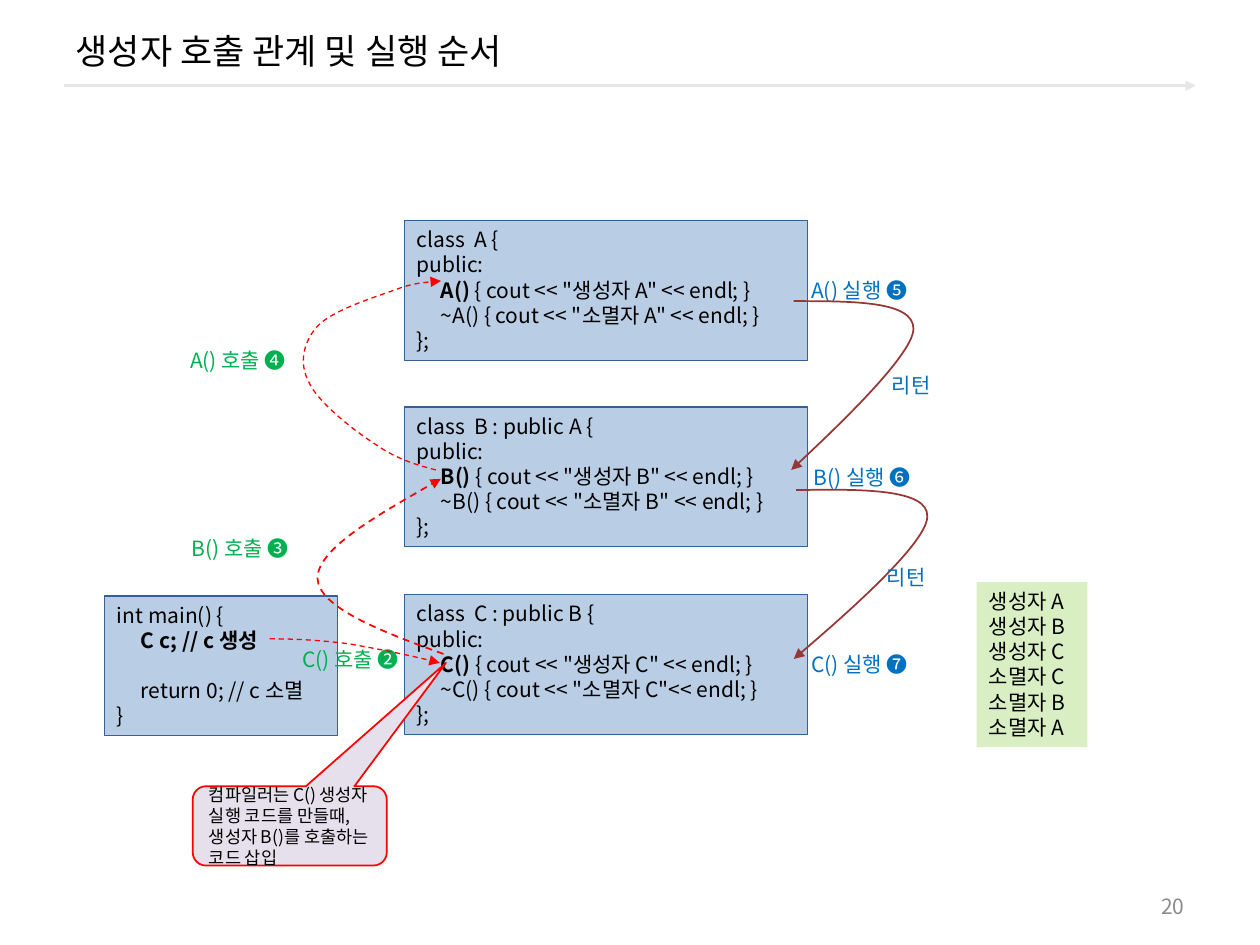
from pptx import Presentation
from pptx.dml.color import RGBColor
from pptx.enum.dml import MSO_LINE
from pptx.enum.shapes import MSO_CONNECTOR, MSO_SHAPE
from pptx.enum.text import MSO_ANCHOR, MSO_AUTO_SIZE, PP_ALIGN
from pptx.oxml.ns import qn
from pptx.util import Inches, Pt
from lxml import etree

RECT, CALLOUT = MSO_SHAPE.RECTANGLE, MSO_SHAPE.ROUNDED_RECTANGULAR_CALLOUT
STRAIGHT, DASH = MSO_CONNECTOR.STRAIGHT, MSO_LINE.DASH
LEFT, RIGHT = PP_ALIGN.LEFT, PP_ALIGN.RIGHT
TOP, MIDDLE = MSO_ANCHOR.TOP, MSO_ANCHOR.MIDDLE
GROW, FIXED = MSO_AUTO_SIZE.SHAPE_TO_FIT_TEXT, MSO_AUTO_SIZE.NONE

FONT = "Noto Sans CJK KR"
LINE_HEIGHT = 1.2
CODE_INDENT = Inches(0.19)

BLACK = RGBColor(0x00, 0x00, 0x00)
GRAY = RGBColor(0x8C, 0x8C, 0x8C)
RULE_GRAY = RGBColor(0xE6, 0xE6, 0xE6)
CODE_FILL = RGBColor(0xB9, 0xCD, 0xE5)
CODE_LINE = RGBColor(0x37, 0x60, 0x92)
OUTPUT_FILL = RGBColor(0xDA, 0xEE, 0xC4)
NOTE_FILL = RGBColor(0xE6, 0xE0, 0xEC)
RED = RGBColor(0xFF, 0x00, 0x00)
BROWN = RGBColor(0x95, 0x37, 0x35)
BLUE = RGBColor(0x00, 0x70, 0xC0)
GREEN = RGBColor(0x00, 0xB0, 0x50)


def add_run(p, text, size, color, bold):
    r = p.add_run()
    r.text = text
    r.font.size = Pt(size)
    r.font.bold = bold
    r.font.color.rgb = color
    r.font.name = FONT
    etree.SubElement(r.font._element, qn("a:ea"), typeface=FONT)


def add_code_tab(p):
    tabs = etree.SubElement(p._p.get_or_add_pPr(), qn("a:tabLst"))
    etree.SubElement(tabs, qn("a:tab"), pos=str(CODE_INDENT), algn="l")


def write_text(s, lines, size=12, color=BLACK, align=LEFT, anchor=TOP,
               wrap=True, auto_size=GROW):
    """Fill s with lines; a line is a string or a list of (text, bold) pairs."""
    tf = s.text_frame
    tf.word_wrap = wrap
    tf.auto_size = auto_size
    tf.vertical_anchor = anchor
    for i, line in enumerate(lines):
        p = tf.add_paragraph() if i else tf.paragraphs[0]
        p.alignment = align
        p.line_spacing = Pt(size * LINE_HEIGHT)
        runs = [(line, False)] if isinstance(line, str) else line
        if any("\t" in text for text, _ in runs):
            add_code_tab(p)
        for text, bold in runs:
            if text:
                add_run(p, text, size, color, bold)
            else:
                etree.SubElement(p._p, qn("a:endParaRPr"), sz=str(size * 100))


def add_box(slide, kind, x, y, w, h, fill, line=None, width=0.75):
    s = slide.shapes.add_shape(kind, Inches(x), Inches(y), Inches(w), Inches(h))
    s.shadow.inherit = False
    s.fill.solid()
    s.fill.fore_color.rgb = fill
    if line is None:
        s.line.fill.background()
    else:
        s.line.color.rgb = line
        s.line.width = Pt(width)
    return s


def add_code(slide, x, y, w, lines):
    s = add_box(slide, RECT, x, y, w, 1.11, CODE_FILL, CODE_LINE)
    write_text(s, lines)


def add_class(slide, y, name, header, destructor_end):
    add_code(slide, 3.21, y, 3.2, [
        header,
        "public:",
        [("\t", False), (f"{name}() ", True),
         (f'{{ cout << "생성자 {name}" << endl; }}', False)],
        f'\t~{name}() {{ cout << "소멸자 {name}"{destructor_end}',
        "};",
    ])


def add_label(slide, x, y, w, text, color, wrap=False):
    s = slide.shapes.add_textbox(Inches(x), Inches(y), Inches(w), Inches(0.3))
    write_text(s, [text], color=color, wrap=wrap)


def style_arrow(line, color, width, dash=None):
    line.color.rgb = color
    line.width = Pt(width)
    if dash is not None:
        line.dash_style = dash
    etree.SubElement(line._get_or_add_ln(), qn("a:tailEnd"), type="triangle")


def add_curve(slide, points, color, width, dash=None):
    """Draw a Bezier arrow: a start point, then two controls and an end per piece."""
    pts = [(Inches(x), Inches(y)) for x, y in points]
    builder = slide.shapes.build_freeform(*pts[0])
    builder.add_line_segments(pts[1:], close=False)
    s = builder.convert_to_shape()
    s.shadow.inherit = False
    s.fill.background()
    steps = list(s._element.iter(qn("a:lnTo")))
    for i in range(0, len(steps), 3):
        bezier = etree.Element(qn("a:cubicBezTo"))
        steps[i].addprevious(bezier)
        for step in steps[i:i + 3]:
            bezier.append(step[0])
            step.getparent().remove(step)
    style_arrow(s.line, color, width, dash)


def add_header(slide):
    rule = slide.shapes.add_connector(
        STRAIGHT, Inches(0.51), Inches(0.68), Inches(9.49), Inches(0.68))
    style_arrow(rule.line, RULE_GRAY, 1.5)
    etree.SubElement(rule._element.spPr, qn("a:effectLst"))
    title = slide.shapes.title
    title.left, title.top = Inches(0.5), Inches(0.08)
    title.width, title.height = Inches(9), Inches(0.64)
    write_text(title, ["생성자 호출 관계 및 실행 순서"], 20, anchor=MIDDLE,
               auto_size=FIXED)


def add_page_number(slide):
    s = slide.shapes.add_textbox(
        Inches(7.17), Inches(7.03), Inches(2.33), Inches(0.32))
    write_text(s, ["20"], color=GRAY, align=RIGHT, anchor=MIDDLE, auto_size=FIXED)


def add_compiler_note(slide):
    s = add_box(slide, CALLOUT, 1.53, 6.24, 1.54, 0.63, NOTE_FILL, RED, 1)
    for i, value in enumerate((0.805, -2.054, 0.167)):
        s.adjustments[i] = value
    write_text(s, ["컴파일러는 C() 생성자 실행 코드를 만들때, 생성자 B()를 호출하는 코드 삽입"],
               10, anchor=MIDDLE, auto_size=FIXED)


def add_output(slide):
    s = add_box(slide, RECT, 7.75, 4.62, 0.88, 1.31, OUTPUT_FILL)
    write_text(s, [f"생성자 {c}" for c in "ABC"] + [f"소멸자 {c}" for c in "CBA"],
               wrap=False)


def main():
    prs = Presentation()
    prs.slide_width, prs.slide_height = Inches(10), Inches(7.5)
    slide = prs.slides.add_slide(prs.slide_layouts[5])
    add_header(slide)
    add_page_number(slide)

    add_class(slide, 1.75, "A", "class  A {", " << endl; }")
    add_class(slide, 3.23, "B", "class  B : public A {", " << endl; }")
    add_class(slide, 4.72, "C", "class  C : public B {", "<< endl; }")
    add_code(slide, 0.83, 4.73, 1.85, [
        "int main() {",
        [("\t", False), ("C c; // c 생성", True)],
        "",
        "\treturn 0; // c 소멸",
        "}",
    ])

    add_curve(slide, [(3.46, 3.73), (3.3, 3.69), (3.14, 3.64), (2.97, 3.52),
                      (2.8, 3.41), (2.52, 3.19), (2.45, 3.03),
                      (2.37, 2.88), (2.41, 2.71), (2.52, 2.59),
                      (2.63, 2.47), (2.94, 2.37), (3.11, 2.31),
                      (3.27, 2.25), (3.38, 2.24), (3.5, 2.23)], RED, 0.75, DASH)
    add_label(slide, 6.34, 2.15, 1.02, "A() 실행 ❺", BLUE)
    add_label(slide, 6.36, 3.64, 1.01, "B() 실행 ❻", BLUE)
    add_label(slide, 6.34, 5.12, 1.11, "C() 실행 ❼", BLUE, wrap=True)
    add_label(slide, 2.3, 5.08, 1.02, "C() 호출 ❷", GREEN, wrap=True)
    add_label(slide, 1.42, 4.2, 1.01, "B() 호출 ❸", GREEN)
    add_label(slide, 1.41, 2.71, 1.02, "A() 호출 ❹", GREEN)
    add_curve(slide, [(6.3, 2.39), (6.78, 2.39), (7.25, 2.39), (7.25, 2.61),
                      (7.25, 2.83), (6.28, 3.73), (6.28, 3.73)], BROWN, 1)
    add_curve(slide, [(6.32, 3.89), (6.84, 3.88), (7.37, 3.88), (7.36, 4.1),
                      (7.36, 4.33), (6.3, 5.23), (6.3, 5.23)], BROWN, 1)
    add_label(slide, 6.98, 2.91, 0.54, "리턴", BLUE)
    add_label(slide, 6.94, 4.43, 0.54, "리턴", BLUE)
    add_output(slide)
    add_curve(slide, [(2.14, 5.07), (2.34, 5.07), (2.54, 5.08), (2.77, 5.11),
                      (3, 5.15), (3.25, 5.2), (3.49, 5.26)], RED, 0.75, DASH)
    add_curve(slide, [(3.52, 5.19), (3.02, 5.01), (2.53, 4.82), (2.52, 4.59),
                      (2.52, 4.36), (3.01, 4.08), (3.5, 3.8)], RED, 1, DASH)
    add_compiler_note(slide)
    prs.save("out.pptx")


if __name__ == "__main__":
    main()
